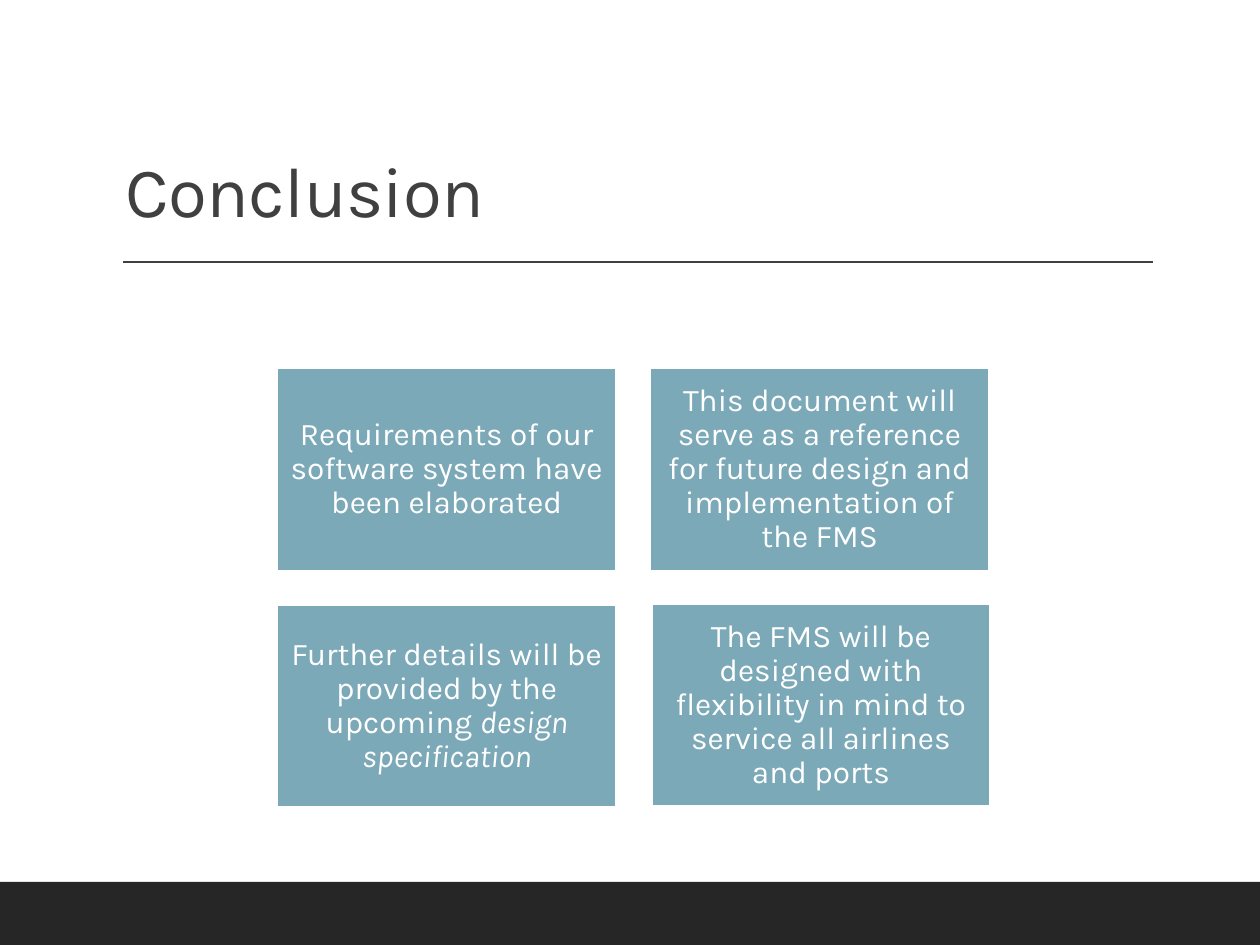
"""Build the Conclusion slide: a title, a rule and four points in a grid."""
import pptx
import pptx.dml.color
import pptx.enum.shapes
import pptx.enum.text
import pptx.oxml
import pptx.oxml.ns
import pptx.util
from pptx.util import Inches

COLORS = {name: pptx.dml.color.RGBColor.from_string(value) for name, value in {
    "footer": "262626", "ink": "404040", "card": "7CA9B8", "white": "FFFFFF"}.items()}
FONT = "Karla"
RECTANGLE = pptx.enum.shapes.MSO_SHAPE.RECTANGLE

deck = pptx.Presentation()
deck.slide_width, deck.slide_height = Inches(10), Inches(7.5)
slide = deck.slides.add_slide(deck.slide_layouts[6])


def add_block(left, top, width, height, color):
    block = slide.shapes.add_shape(
        RECTANGLE, Inches(left), Inches(top), Inches(width), Inches(height))
    block.shadow.inherit = False
    block.fill.solid()
    block.fill.fore_color.rgb = COLORS[color]
    return block


footer = add_block(0, 7, 10, 0.5, "footer")
footer.line.fill.background()

rule = slide.shapes.add_connector(
    pptx.enum.shapes.MSO_CONNECTOR.STRAIGHT,
    Inches(0.98), Inches(2.08), Inches(9.15), Inches(2.08))
rule.line.color.rgb = COLORS["ink"]
rule.line.width = pptx.util.Pt(1)
rule._element.spPr.append(pptx.oxml.parse_xml(
    f'<a:effectLst {pptx.oxml.ns.nsdecls("a")}/>'))

title = slide.shapes.add_textbox(Inches(0.9), Inches(0.31), Inches(8.25), Inches(1.59))
title.text_frame.word_wrap = True
title.text_frame.vertical_anchor = pptx.enum.text.MSO_ANCHOR.BOTTOM
heading = title.text_frame.paragraphs[0]
heading.line_spacing = 0.9
heading.font.name = FONT
heading.font.size = pptx.util.Pt(40.5)
heading.font.color.rgb = COLORS["ink"]
heading_run = heading.add_run()
heading_run.text = "Conclusion"
heading_run._r.get_or_add_rPr().set("spc", "-40")

points = [
    (2.2, 2.92, "Requirements of our software system have been elaborated", ""),
    (5.16, 2.92, "This document will serve as a reference for future design and "
     "implementation of the FMS", ""),
    (2.2, 4.8, "Further details will be provided by the upcoming ", "design specification"),
    (5.17, 4.79, "The FMS will be designed with flexibility in mind to service "
     "all airlines and ports", ""),
]
for left, top, statement, emphasis in points:
    card = add_block(left, top, 2.69, 1.61, "card")
    card.line.color.rgb = COLORS["white"]
    card.line.width = pptx.util.Pt(1.25)
    frame = card.text_frame
    frame.word_wrap = True
    frame.vertical_anchor = pptx.enum.text.MSO_ANCHOR.MIDDLE
    frame.margin_left = frame.margin_right = Inches(0.07)
    frame.margin_top = frame.margin_bottom = Inches(0.07)
    point = frame.paragraphs[0]
    point.alignment = pptx.enum.text.PP_ALIGN.CENTER
    point.line_spacing = 0.9
    point.font.name = FONT
    point.font.size = pptx.util.Pt(18)
    point.font.color.rgb = COLORS["white"]
    point.add_run().text = statement
    if emphasis:
        emphasized = point.add_run()
        emphasized.text = emphasis
        emphasized.font.italic = True

deck.save("out.pptx")
